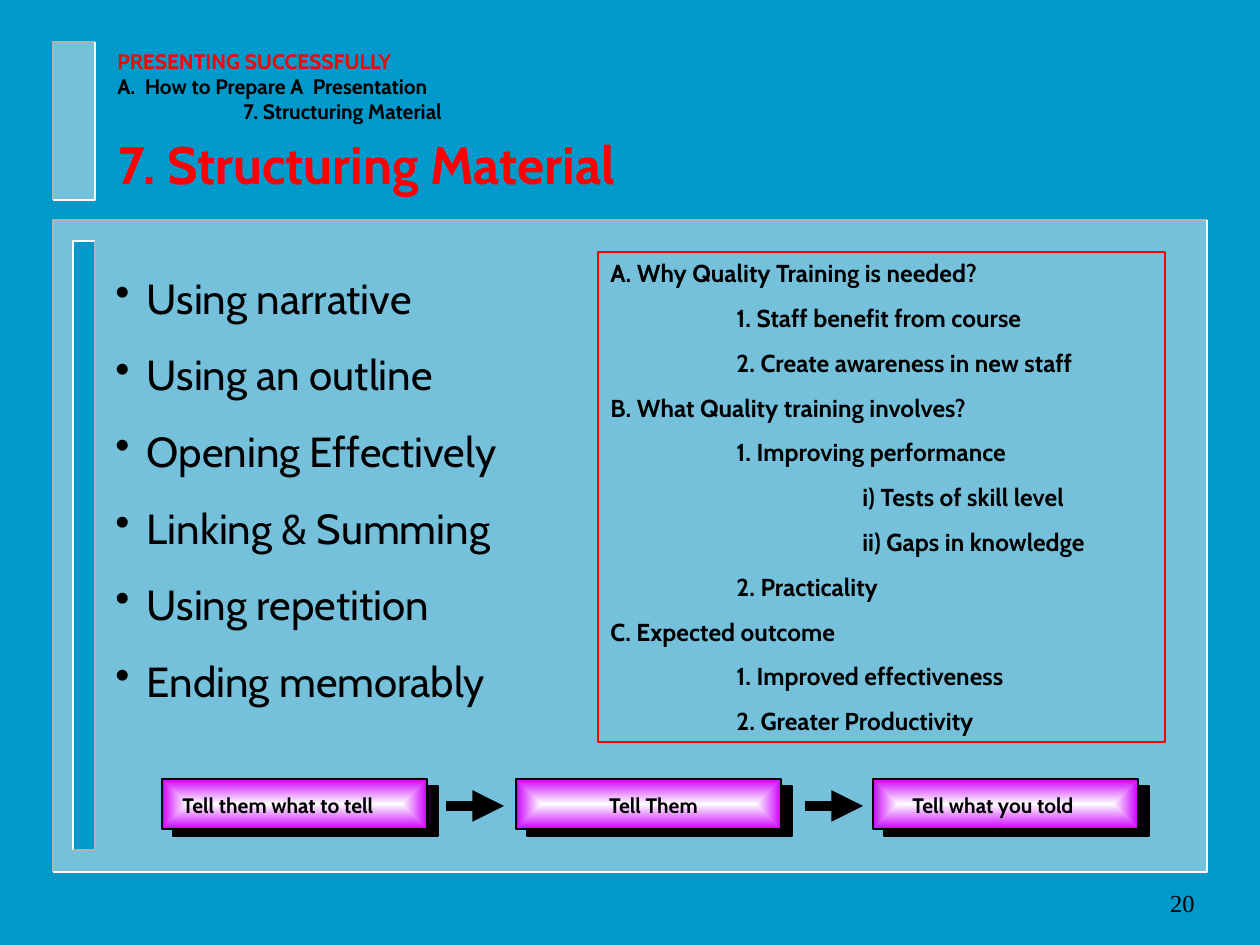
import pptx
import pptx.util
import pptx.dml.color
import pptx.enum.shapes
import pptx.enum.text
import pptx.oxml
import pptx.oxml.ns
import lxml.etree

EMU_PER_PX = 914400 // 126
BLACK, RED, WHITE, GREY = "000000", "FF0000", "FFFFFF", "B2B2B2"
BLUE, MIST, MAGENTA = "0099CC", "EAEAEA", "CC00FF"
LEFT, CENTER, RIGHT = (pptx.enum.text.PP_ALIGN.LEFT, pptx.enum.text.PP_ALIGN.CENTER,
                       pptx.enum.text.PP_ALIGN.RIGHT)
RECTANGLE = pptx.enum.shapes.MSO_SHAPE.RECTANGLE
TOP, MIDDLE = pptx.enum.text.MSO_ANCHOR.TOP, pptx.enum.text.MSO_ANCHOR.MIDDLE

TITLE = "7. Structuring Material"
BREADCRUMB = [
    (0, "PRESENTING SUCCESSFULLY", RED),
    (0, "A.  How to Prepare A  Presentation", BLACK),
    (1, "7. Structuring Material", BLACK),
]
TECHNIQUES = ["Using narrative", "Using an outline", "Opening Effectively",
              "Linking & Summing", "Using repetition", "Ending memorably"]
OUTLINE = [
    (0, "A. Why Quality Training is needed?"),
    (1, "1. Staff benefit from course"),
    (1, "2. Create awareness in new staff"),
    (0, "B. What Quality training involves?"),
    (1, "1. Improving performance"),
    (2, "i) Tests of skill level"),
    (2, "ii) Gaps in knowledge"),
    (1, "2. Practicality"),
    (0, "C. Expected outcome"),
    (1, "1. Improved effectiveness"),
    (1, "2. Greater Productivity"),
]
STEPS = [
    ("Tell them what to tell", 162, 170, 250, LEFT),
    ("Tell Them", 516, 590, 127, CENTER),
    ("Tell what you told", 873, 900, 213, LEFT),
]
BEVELS = [
    ((53, 220, 1154, 652), MIST, 50, GREY, WHITE),
    ((73, 241, 22, 609), BLUE, 100, WHITE, GREY),
    ((53, 42, 42, 158), MIST, 50, GREY, WHITE),
]
PAGE = "20"


def px(length):
    return pptx.util.Emu(length * EMU_PER_PX)


def rgb(value):
    return pptx.dml.color.RGBColor.from_string(value)


def child(parent, tag, **attributes):
    return lxml.etree.SubElement(parent, pptx.oxml.ns.qn(tag), attributes)


def outline_shape(shape, color, width):
    shape.line.color.rgb = rgb(color)
    shape.line.width = pptx.util.Pt(width)
    shape.shadow.inherit = False


def add_rectangle(slide, box, fill=None, line=None, opacity=100):
    rectangle = slide.shapes.add_shape(RECTANGLE, *map(px, box))
    rectangle.shadow.inherit = False
    if fill:
        rectangle.fill.solid()
        rectangle.fill.fore_color.rgb = rgb(fill)
        if opacity < 100:
            tint = rectangle.fill._xPr.find(".//" + pptx.oxml.ns.qn("a:srgbClr"))
            child(tint, "a:alpha", val=str(opacity * 1000))
    else:
        rectangle.fill.background()
    if line:
        outline_shape(rectangle, line, 0.75)
    else:
        rectangle.line.fill.background()
    return rectangle


def add_edge(slide, points, color):
    start, *rest = [(px(x), px(y)) for x, y in points]
    builder = slide.shapes.build_freeform(*start, scale=1.0)
    builder.add_line_segments(rest, close=False)
    edge = builder.convert_to_shape()
    edge.fill.background()
    outline_shape(edge, color, 1)


def add_bevel(slide, box, fill, opacity, upper, lower):
    left, top, width, height = box
    right, bottom = left + width, top + height
    add_rectangle(slide, box, fill, opacity=opacity)
    add_edge(slide, [(right, top), (left, top), (left, bottom)], upper)
    add_edge(slide, [(right, top), (right, bottom), (left, bottom)], lower)


def shade_from_center(shape, inner, outer):
    shape.fill.gradient()
    for stop, color, position in zip(shape.fill.gradient_stops, (inner, outer), (0, 1)):
        stop.color.rgb = rgb(color)
        stop.position = position
    gradient = shape.fill._xPr.find(pptx.oxml.ns.qn("a:gradFill"))
    gradient.remove(gradient.find(pptx.oxml.ns.qn("a:lin")))
    spread = child(gradient, "a:path", path="rect")
    child(spread, "a:fillToRect", l="50000", t="50000", r="50000", b="50000")


def write(shape, lines, size, font="Cabin", bold=True, align=LEFT, anchor=TOP,
          wrap=True, space_before=0, bullet=False):
    frame = shape.text_frame
    frame.word_wrap = wrap
    frame.auto_size = pptx.enum.text.MSO_AUTO_SIZE.NONE
    frame.vertical_anchor = anchor
    for index, (level, text, color) in enumerate(lines):
        paragraph = frame.add_paragraph() if index else frame.paragraphs[0]
        paragraph.alignment = align
        paragraph.space_before = pptx.util.Pt(space_before)
        properties = paragraph._p.get_or_add_pPr()
        if level:
            properties.set("marL", str(pptx.util.Inches(level)))
        if bullet:
            hang = pptx.util.Inches(0.25)
            properties.set("marL", str(hang))
            properties.set("indent", str(-hang))
            child(child(properties, "a:buClr"), "a:srgbClr", val=color)
            child(properties, "a:buChar", char="•")
        run = paragraph.add_run()
        run.text = text
        run.font.name = font
        run.font.size = pptx.util.Pt(size)
        run.font.bold = bold
        run.font.color.rgb = rgb(color)


def add_text(slide, box, lines, size, **style):
    write(slide.shapes.add_textbox(*map(px, box)), lines, size, **style)


def add_arrow(slide, start, end, y):
    arrow = slide.shapes.add_connector(
        pptx.enum.shapes.MSO_CONNECTOR.STRAIGHT, px(start), px(y), px(end), px(y))
    arrow.line.color.rgb = rgb(BLACK)
    arrow.line.width = pptx.util.Pt(6)
    child(arrow.line._get_or_add_ln(), "a:tailEnd", type="triangle")
    child(arrow._element.spPr, "a:effectLst")


def main():
    deck = pptx.Presentation()
    deck.slide_width, deck.slide_height = px(1260), px(945)
    slide = deck.slides.add_slide(deck.slide_layouts[5])
    slide.background.fill.solid()
    slide.background.fill.fore_color.rgb = rgb(BLUE)

    for bevel in BEVELS:
        add_bevel(slide, *bevel)

    title = slide.shapes.title
    title.left, title.top, title.width, title.height = map(px, (106, 126, 621, 76))
    write(title, [(0, TITLE, RED)], 30, wrap=False)

    add_text(slide, (105, 42, 567, 88), BREADCRUMB, 12)
    add_text(slide, (103, 266, 530, 446), [(0, text, BLACK) for text in TECHNIQUES],
             24, bold=False, space_before=15, bullet=True)

    outline = add_rectangle(slide, (598, 252, 567, 490), line=RED)
    write(outline, [(level, text, BLACK) for level, text in OUTLINE], 14, space_before=8.8)

    step_top, step_width, step_height = 779, 265, 50
    for text, left, text_left, text_width, align in STEPS:
        add_rectangle(slide, (left + 11, step_top + 7, step_width, step_height), BLACK, BLACK)
        step = add_rectangle(slide, (left, step_top, step_width, step_height), line=BLACK)
        shade_from_center(step, WHITE, MAGENTA)
        add_text(slide, (text_left, 786, text_width, 38), [(0, text, BLACK)], 12,
                 align=align, wrap=False)
    for start in (446, 805):
        add_arrow(slide, start, start + 58, 806)

    add_text(slide, (945, 871, 262, 63), [(0, PAGE, BLACK)], 14, font="Times New Roman",
             bold=False, align=RIGHT, anchor=MIDDLE)
    deck.save("out.pptx")


if __name__ == "__main__":
    main()
